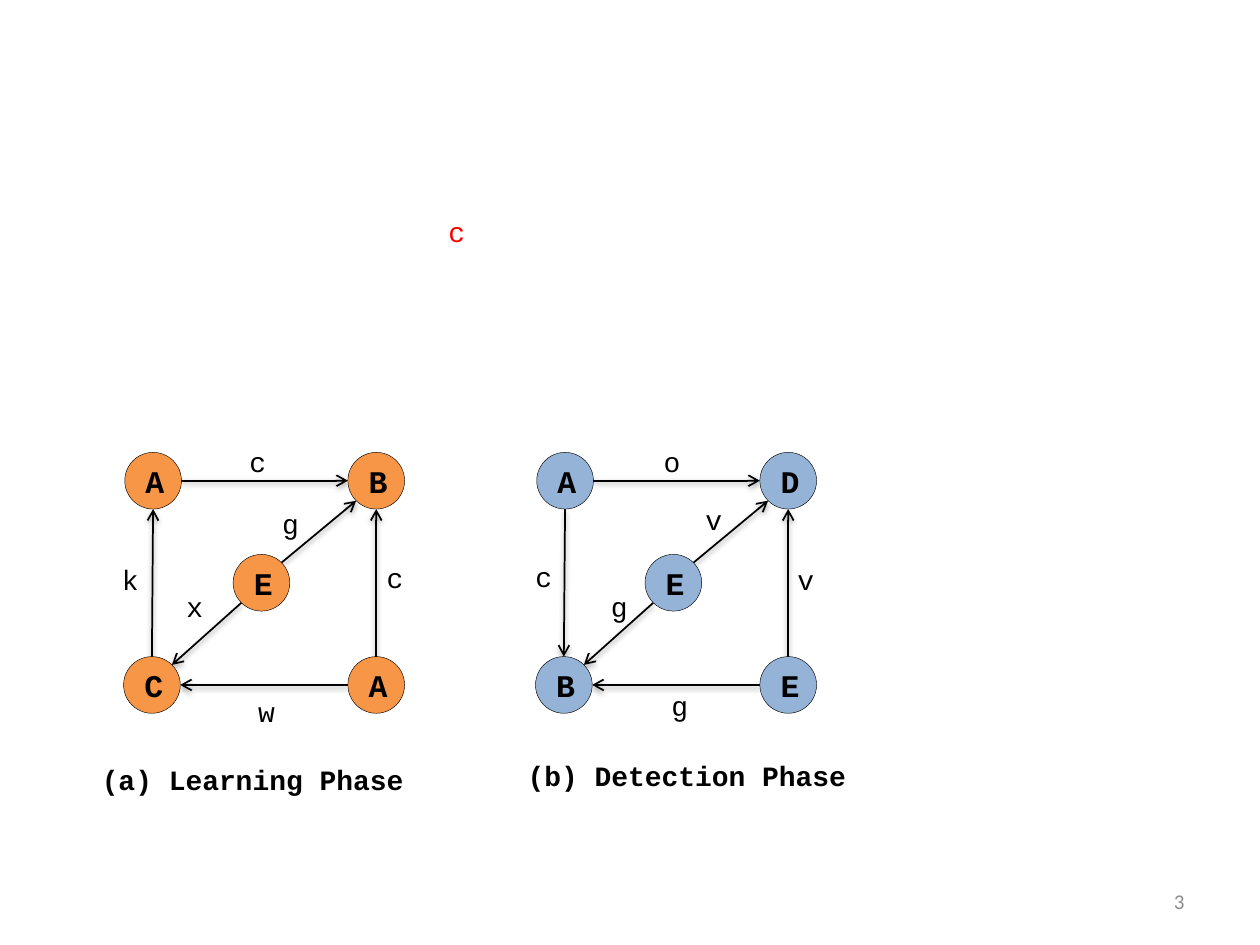
from dataclasses import dataclass
from math import hypot

from lxml.etree import SubElement
from pptx import Presentation
from pptx.dml.color import RGBColor
from pptx.enum.shapes import MSO_CONNECTOR as Connector, MSO_SHAPE as Preset
from pptx.enum.text import MSO_ANCHOR as Anchor, MSO_AUTO_SIZE as AutoSize, PP_ALIGN as Align
from pptx.oxml.ns import qn
from pptx.util import Pt

NODE_SIZE = 32.4
LABEL_SIZE = (27.4, 26.6)
GRAPH_TOP = 258.5

# Slot: column and row in the grid, then offset from the graph's left and top
SLOTS = {
    "top left": (0, 0, 0.7, 0),
    "top right": (2, 0, 128.2, 0),
    "middle": (1, 1, 62.6, 58.3),
    "bottom left": (0, 2, 0, 116.7),
    "bottom right": (2, 2, 128.2, 116.7),
}


def color(hex_string):
    return RGBColor.from_string(hex_string)


def add_effect(parent, tag, **attributes):
    return SubElement(parent, qn(f"a:{tag}"), {key: str(value) for key, value in attributes.items()})


@dataclass
class Diagram:
    slide: object
    font: str = "Courier New"
    ink: str = "000000"

    def set_text(self, shape, content, size, ink=None, bold=False, font=None, align=Align.LEFT):
        frame = shape.text_frame
        frame.word_wrap = True
        frame.text = content
        paragraph = frame.paragraphs[0]
        paragraph.alignment = align
        style = paragraph.runs[0].font
        style.name, style.size, style.bold = font or self.font, Pt(size), bold
        style.color.rgb = color(ink or self.ink)
        return frame

    def text(self, content, left, top, width, height, size=16, **style):
        box = self.slide.shapes.add_textbox(Pt(left), Pt(top), Pt(width), Pt(height))
        frame = self.set_text(box, content, size, **style)
        frame.auto_size = AutoSize.SHAPE_TO_FIT_TEXT

    def label(self, letter, left, top, **style):
        self.text(letter, left, top, *LABEL_SIZE, **style)

    def slide_number(self, number):
        box = self.slide.shapes.add_textbox(Pt(516), Pt(500.5), Pt(168), Pt(28.75))
        frame = self.set_text(box, number, 12, ink="8C8C8C", font="Calibri", align=Align.RIGHT)
        frame.vertical_anchor = Anchor.MIDDLE

    def node(self, letter, left, top, fill):
        circle = self.slide.shapes.add_shape(
            Preset.OVAL, Pt(left), Pt(top), Pt(NODE_SIZE), Pt(NODE_SIZE))
        circle.shadow.inherit = False
        circle.fill.solid()
        circle.fill.fore_color.rgb = color(fill)
        circle.line.color.rgb = color(self.ink)
        circle.line.width = Pt(0.25)
        frame = self.set_text(circle, letter, 18, bold=True, align=Align.CENTER)
        frame.vertical_anchor = Anchor.MIDDLE

    def arrow(self, start, end):
        edge = self.slide.shapes.add_connector(
            Connector.STRAIGHT, *(Pt(value) for value in (*start, *end)))
        edge.line.color.rgb = color(self.ink)
        edge.line.width = Pt(1)
        properties = edge._element.spPr
        add_effect(properties.find(qn("a:ln")), "tailEnd", type="arrow")
        effects = add_effect(properties, "effectLst")
        shadow = add_effect(effects, "outerShdw", blurRad=Pt(3.1), dist=Pt(1.6),
                            dir=90 * 60000, rotWithShape=0)
        add_effect(add_effect(shadow, "srgbClr", val=self.ink), "alpha", val=38000)

    def edge(self, graph_left, source, target):
        """Join two slots at the rim points that face each other, in 45 degree steps."""
        start, end = SLOTS[source], SLOTS[target]
        step_x, step_y = ((b > a) - (b < a) for a, b in zip(start[:2], end[:2]))
        radius = NODE_SIZE / 2
        reach = radius / hypot(step_x, step_y)

        def rim(slot, side):
            return (graph_left + slot[2] + radius + side * reach * step_x,
                    GRAPH_TOP + slot[3] + radius + side * reach * step_y)

        self.arrow(rim(start, 1), rim(end, -1))

    def graph(self, left, fill, letters, edges, labels):
        for source, target in edges:
            self.edge(left, source, target)
        for letter, (_, _, x, y) in zip(letters, SLOTS.values()):
            self.node(letter, left + x, GRAPH_TOP + y, fill)
        for letter, x, y in labels:
            self.label(letter, x, y)


def main():
    deck = Presentation()
    deck.slide_width, deck.slide_height = Pt(720), Pt(540)
    diagram = Diagram(deck.slides.add_slide(deck.slide_layouts[6]))

    diagram.slide_number("3")
    diagram.label("c", 249.1, 118.8, ink="FF0000")

    shared_edges = [
        ("top left", "top right"),
        ("middle", "top right"),
        ("middle", "bottom left"),
        ("bottom right", "top right"),
        ("bottom right", "bottom left"),
    ]
    learning_labels = [("c", 135.4, 250.6), ("g", 154.1, 285.8), ("x", 99.4, 333.4),
                       ("k", 62.6, 318.2), ("c", 213.8, 316.8), ("w", 140.4, 393.1)]
    detection_labels = [("o", 372.2, 250.6), ("v", 396, 283.7), ("g", 342, 333.4),
                        ("c", 298.8, 316.1), ("v", 448.6, 318.2), ("g", 376.6, 390.2)]

    diagram.graph(70.6, "F79646", "ABECA",
                  shared_edges + [("bottom left", "top left")], learning_labels)
    diagram.graph(306, "95B3D7", "ADEBE",
                  shared_edges + [("top left", "bottom left")], detection_labels)

    diagram.text("(a) Learning Phase", 51.1, 432, 188.8, 26.6, bold=True)
    diagram.text("(b) Detection Phase", 294.5, 429.8, 198.2, 26.6, bold=True)

    deck.save("out.pptx")


if __name__ == "__main__":
    main()
